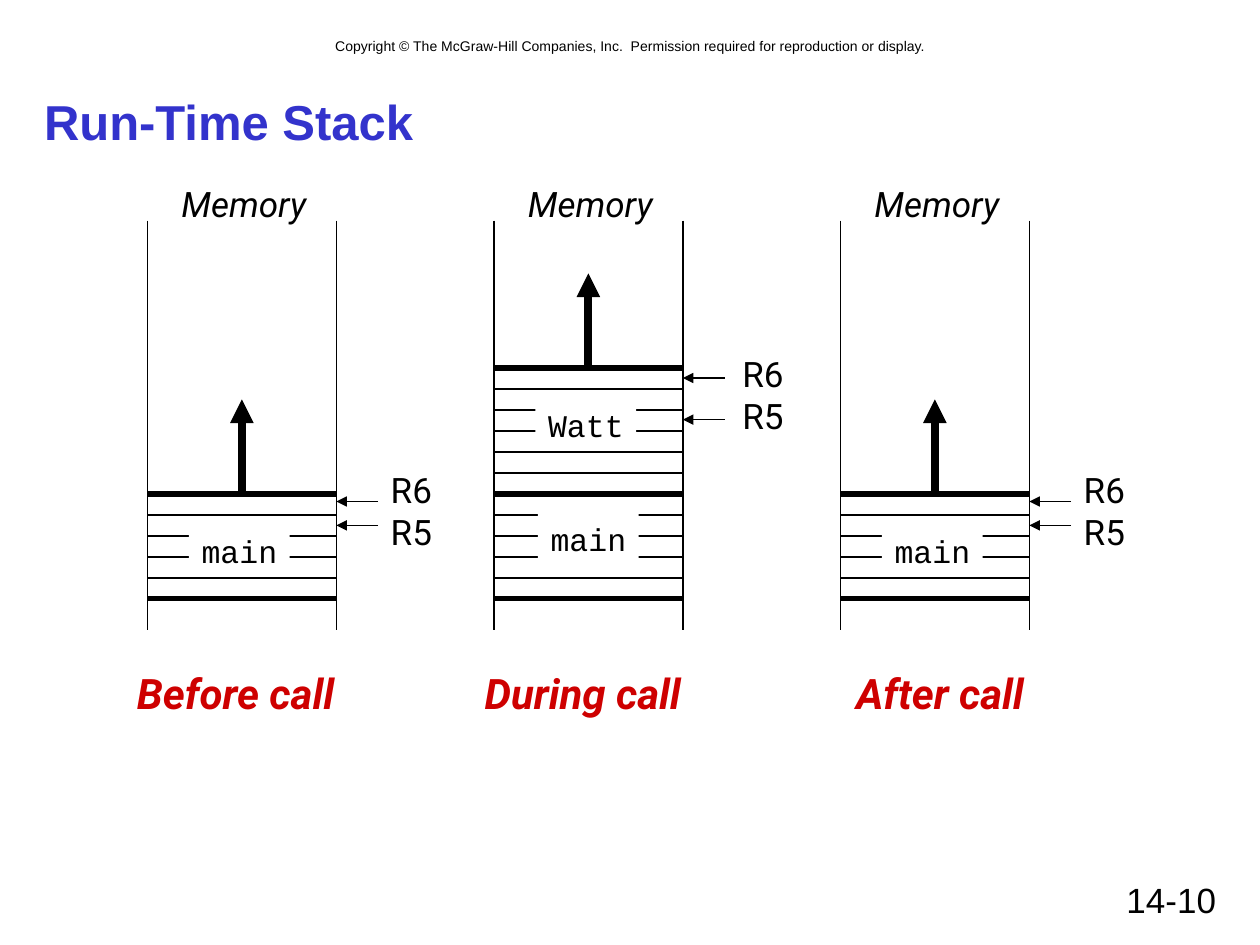
from dataclasses import dataclass

from pptx import Presentation
from pptx import util as u
from pptx.dml import color
from pptx.enum import shapes, text
from pptx.oxml import ns, xmlchemy

IN = u.Inches
MID = text.PP_ALIGN.CENTER
ROW = 1 / 6
WIDE = 1.5
BASE = 4.75


@dataclass(frozen=True)
class Theme:
    ink: str = "000000"
    paper: str = "FFFFFF"
    title: str = "3333CC"
    stage: str = "CE0000"
    sans: str = "Arial"
    hand: str = "Roboto"
    code: str = "Courier New"
    tiny: int = 8
    small: int = 18
    body: int = 20
    large: int = 24
    head: int = 28
    thin: float = 0.75
    thick: float = 3
    bold: float = 4.5


T = Theme()


@dataclass(frozen=True)
class Frame:
    name: str
    top: float
    rows: int
    left: float
    high: float


@dataclass(frozen=True)
class Stack:
    stage: str
    left: float
    wide: float
    frames: tuple
    regs: tuple
    gap: float


def rgb(code):
    return color.RGBColor.from_string(code)


def write(box, words, size, font=T.hand, tint=T.ink, align=MID,
          bold=False, slant=False):
    para = box.text_frame.paragraphs[0]
    para.alignment = align
    run = para.add_run()
    run.text = words
    run.font.size = u.Pt(size)
    run.font.name = font
    run.font.bold = bold
    run.font.italic = slant
    run.font.color.rgb = rgb(tint)


def label(slide, area, words, size, wrap=False, **look):
    box = slide.shapes.add_textbox(*map(IN, area))
    box.text_frame.word_wrap = wrap
    write(box, words, size, **look)


def tag(slide, area, words):
    box = slide.shapes.add_shape(shapes.MSO_SHAPE.RECTANGLE, *map(IN, area))
    box.shadow.inherit = False
    box.fill.solid()
    box.fill.fore_color.rgb = rgb(T.paper)
    box.line.fill.background()
    box.text_frame.word_wrap = False
    write(box, words, T.small, font=T.code)


def rule(slide, start, end, width=T.thin, arrow=False):
    line = slide.shapes.add_connector(
        shapes.MSO_CONNECTOR.STRAIGHT, *map(IN, (*start, *end)))
    line.line.color.rgb = rgb(T.ink)
    line.line.width = u.Pt(width)
    if arrow:
        tip = xmlchemy.OxmlElement("a:tailEnd")
        tip.set("type", "triangle")
        line.line._get_or_add_ln().append(tip)
    props = line._element.find(ns.qn("p:spPr"))
    props.append(xmlchemy.OxmlElement("a:effectLst"))


def draw_frame(slide, x, frame):
    for row in range(frame.rows):
        y = frame.top + row * ROW
        rule(slide, (x, y), (x + WIDE, y), T.thin if row else T.thick)
    tag(slide, (x + frame.left, frame.high, 0.8, 0.4), frame.name)


def draw_stack(slide, x, stack):
    right = x + WIDE
    for side in (x, right):
        rule(slide, (side, 1.75), (side, 5))
    for frame in stack.frames:
        draw_frame(slide, x, frame)
    rule(slide, (x, BASE), (right, BASE), T.thick)
    label(slide, (x + 0.16, 1.4, 1.21, 0.44), "Memory", T.body, slant=True)
    top = stack.frames[0].top
    mid = x + WIDE / 2
    rule(slide, (mid, top), (mid, top - 0.75), T.bold, True)
    for name, high, y in stack.regs:
        label(slide, (right + stack.gap, high, 0.53, 0.44), name, T.body)
        rule(slide, (right + 0.33, y), (right, y), arrow=True)
    label(slide, (stack.left, 5.25, stack.wide, 0.5), stack.stage, T.large,
          tint=T.stage, bold=True, slant=True)


def draw_title(slide, words):
    box = slide.shapes.title
    box.left, box.top, box.width, box.height = map(IN, (0.25, 0.67, 9.5, 0.58))
    box.text_frame.vertical_anchor = text.MSO_ANCHOR.MIDDLE
    write(box, words, T.head, font=T.sans, tint=T.title,
          align=text.PP_ALIGN.LEFT, bold=True)


def main():
    deck = Presentation()
    deck.slide_width, deck.slide_height = IN(10), IN(7.5)
    slide = deck.slides.add_slide(deck.slide_layouts[5])
    draw_title(slide, "Run-Time Stack")
    label(slide, (0.67, 0.25, 8.67, 0.24),
          "Copyright © The McGraw-Hill Companies, Inc.  "
          "Permission required for reproduction or display.",
          T.tiny, wrap=True, font=T.sans)
    label(slide, (7.17, 6.92, 2.58, 0.42), "14-10", T.body, wrap=True,
          font=T.sans, align=text.PP_ALIGN.RIGHT)

    alone = (Frame("main", 3.92, 5, 0.33, 4.17),)
    both = (Frame("Watt", 2.92, 6, 0.33, 3.17),
            Frame("main", 3.92, 5, 0.35, 4.08))
    low = (("R6", 3.67, 3.98), ("R5", 4, 4.17))
    high = (("R6", 2.75, 3), ("R5", 3.08, 3.33))
    stacks = (Stack("Before call", 0.93, 1.88, alone, low, 0.33),
              Stack("During call", 3.67, 1.91, both, high, 0.37),
              Stack("After call", 6.64, 1.64, alone, low, 0.33))
    for i, stack in enumerate(stacks):
        draw_stack(slide, 1.17 + 2.75 * i, stack)
    deck.save("out.pptx")


if __name__ == "__main__":
    main()
